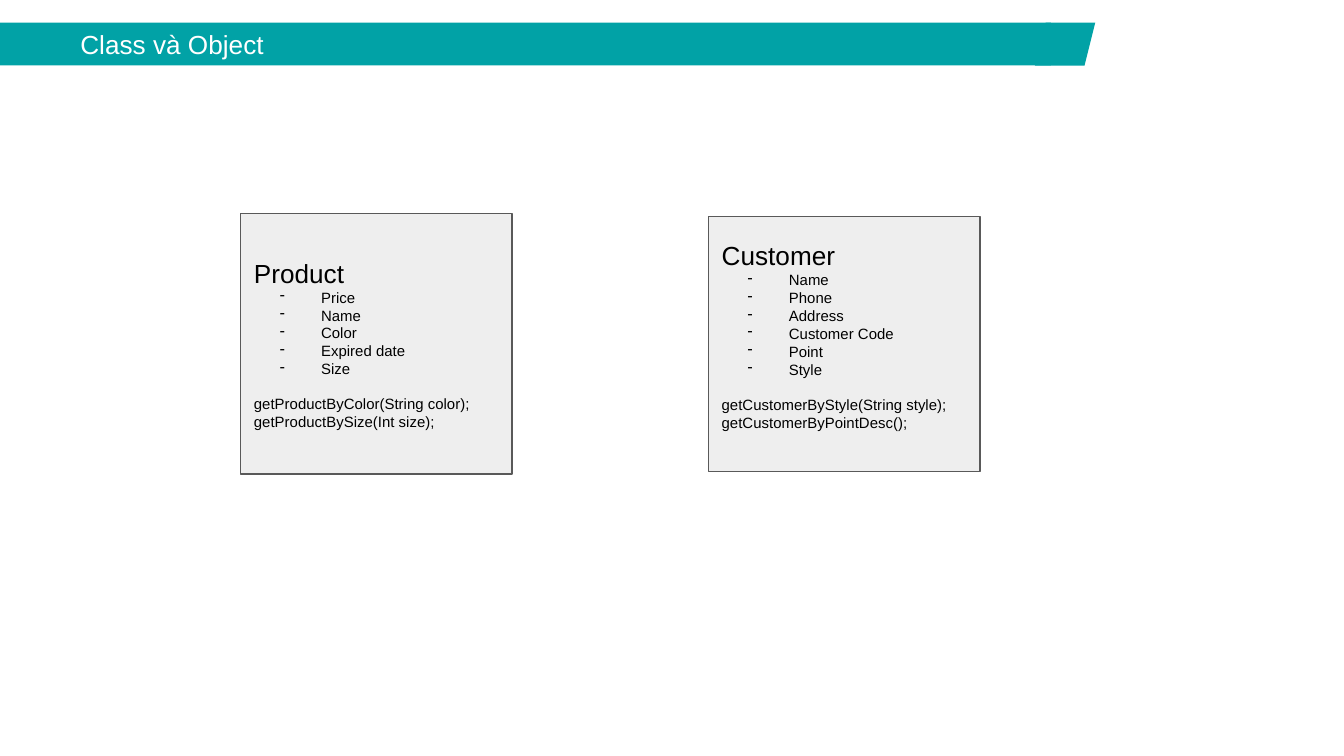
from dataclasses import dataclass

from lxml.etree import SubElement
from pptx import Presentation
from pptx.dml.color import RGBColor
from pptx.enum.shapes import MSO_SHAPE as Preset
from pptx.enum.text import MSO_ANCHOR as Anchor, PP_ALIGN as Align
from pptx.oxml.ns import qn
from pptx.util import Cm, Pt


@dataclass(frozen=True)
class Theme:
    font: str = "Arial"
    banner: str = "01A2A6"
    panel: str = "EEEEEE"
    outline: str = "595959"
    light: str = "FFFFFF"
    dark: str = "000000"
    heading: float = 14
    body: float = 8
    method_gap: float = 9.3


def write(frame, text, *, theme, size, color, first=False, margin=0, indent=0,
          bullet=None, before=0):
    paragraph = frame.paragraphs[0] if first else frame.add_paragraph()
    paragraph.alignment = Align.LEFT
    paragraph.space_before = Pt(before)
    properties = paragraph._p.get_or_add_pPr()
    properties.set("marL", str(Cm(margin)))
    properties.set("indent", str(Cm(indent)))
    if bullet:
        bullet_color = SubElement(properties, qn("a:buClr"))
        SubElement(bullet_color, qn("a:srgbClr")).set("val", color)
        SubElement(properties, qn("a:buChar")).set("char", bullet)
    else:
        SubElement(properties, qn("a:buNone"))
    run = paragraph.add_run()
    run.text = text
    run.font.name = theme.font
    run.font.size = Pt(size)
    run.font.color.rgb = RGBColor.from_string(color)


class SlideBuilder:
    def __init__(self, slide, theme):
        self.slide = slide
        self.theme = theme

    def block(self, preset, left, top, width, height, fill, line=None, bottom=0.25):
        shape = self.slide.shapes.add_shape(
            preset, Cm(left), Cm(top), Cm(width), Cm(height))
        shape.shadow.inherit = False
        shape.fill.solid()
        shape.fill.fore_color.rgb = RGBColor.from_string(fill)
        if line:
            shape.line.color.rgb = RGBColor.from_string(line)
            shape.line.width = Pt(0.75)
        else:
            shape.line.fill.background()
        frame = shape.text_frame
        frame.word_wrap = True
        frame.vertical_anchor = Anchor.MIDDLE
        frame.margin_left = frame.margin_right = frame.margin_top = Cm(0.25)
        frame.margin_bottom = Cm(bottom)
        return shape

    def banner(self, title):
        theme = self.theme
        top, height = 0.43, 0.81
        bar = self.block(Preset.RECTANGLE, 0, top, 19.86, height, theme.banner)
        write(bar.text_frame, title, theme=theme, size=theme.heading,
              color=theme.light, first=True, indent=1.27)
        tip = self.block(Preset.PARALLELOGRAM, 19.56, top, 1.14, height, theme.banner)
        tip.adjustments[0] = 0.25

    def class_box(self, left, top, height, name, fields, methods, bottom=0.25):
        theme = self.theme
        frame = self.block(Preset.RECTANGLE, left, top, 5.13, height, theme.panel,
                           theme.outline, bottom).text_frame
        body = dict(theme=theme, size=theme.body, color=theme.dark)
        write(frame, name, theme=theme, size=theme.heading, color=theme.dark, first=True)
        for field in fields:
            write(frame, field, margin=1.27, indent=-0.78, bullet="-", **body)
        for index, method in enumerate(methods):
            write(frame, method, before=0 if index else theme.method_gap, **body)


presentation = Presentation()
presentation.slide_width = Cm(25.4)
presentation.slide_height = Cm(14.29)
slide = presentation.slides.add_slide(presentation.slide_layouts[6])

builder = SlideBuilder(slide, Theme())
builder.banner("Class và Object")
builder.class_box(
    4.55, 4.04, 4.92, "Product",
    ["Price", "Name", "Color", "Expired date", "Size"],
    ["getProductByColor(String color);", "getProductBySize(Int size);"])
builder.class_box(
    13.39, 4.09, 4.83, "Customer",
    ["Name", "Phone", "Address", "Customer Code", "Point", "Style"],
    ["getCustomerByStyle(String style);", "getCustomerByPointDesc();"],
    bottom=0.58)

presentation.save("out.pptx")
